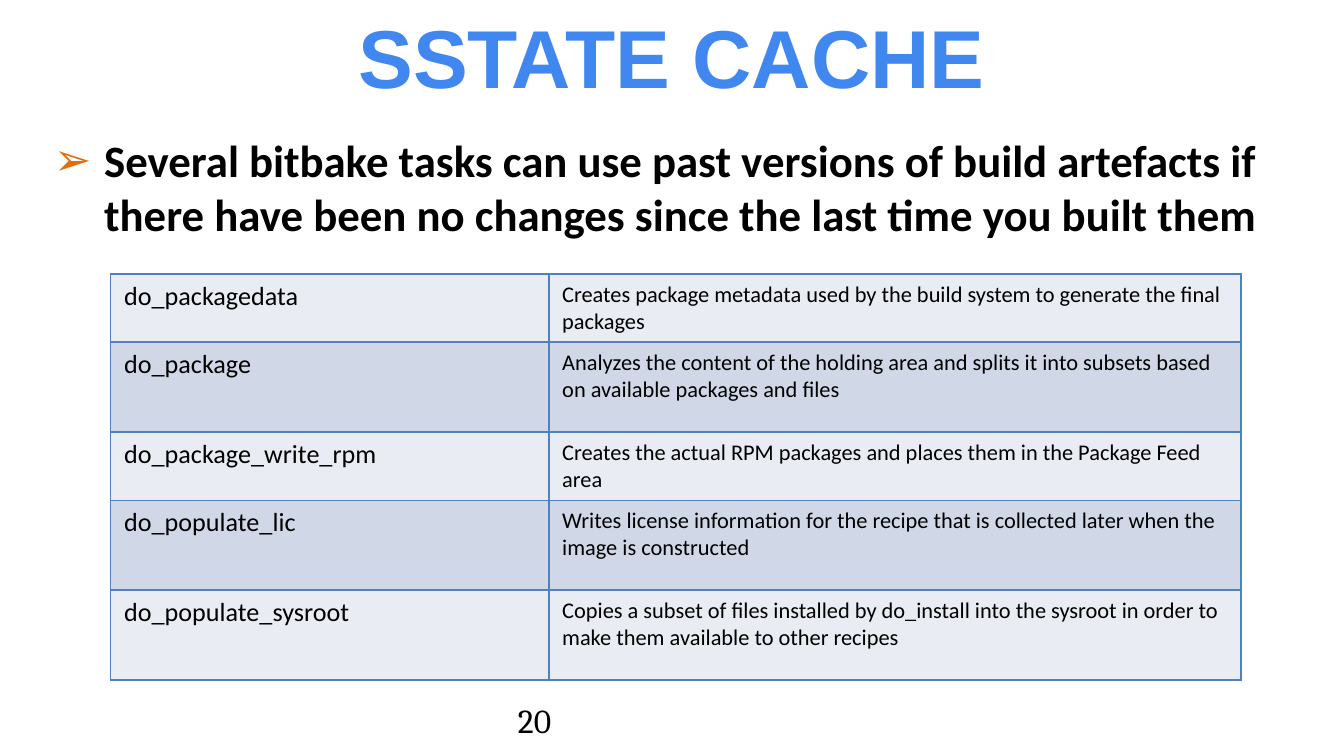
import pptx
import pptx.dml.color
import pptx.enum.text
import pptx.oxml
import pptx.oxml.ns
import pptx.util
from lxml import etree

Pt = pptx.util.Pt
RGBColor = pptx.dml.color.RGBColor
Align = pptx.enum.text.PP_ALIGN
Anchor = pptx.enum.text.MSO_ANCHOR
qn = pptx.oxml.ns.qn

TITLE_BLUE = RGBColor(0x40, 0x88, 0xEF)
BULLET_ORANGE = RGBColor(0xE4, 0x6C, 0x0A)
BORDER_BLUE = RGBColor(0x4F, 0x81, 0xBD)
BLACK = RGBColor(0, 0, 0)
ROW_FILLS = (RGBColor(0xE9, 0xEC, 0xF3), RGBColor(0xD0, 0xD8, 0xE7))

TITLE_FORMAT = {"name": "Arial", "size": Pt(44), "bold": True}
BODY_FORMAT = {"name": "Calibri", "size": Pt(24), "bold": True}
NUMBER_FORMAT = {"name": "Cambria", "size": Pt(18)}
COLUMN_FORMATS = (
    {"name": "Calibri", "size": Pt(14)},
    {"name": "Calibri", "size": Pt(12)},
)

COLUMN_WIDTHS = (234.7, 370.8)
SHORT_ROW, TALL_ROW = 34.6, 48.2
TASKS = (
    ("do_packagedata", SHORT_ROW,
     "Creates package metadata used by the build system to generate the final packages"),
    ("do_package", TALL_ROW,
     "Analyzes the content of the holding area and splits it into subsets "
     "based on available packages and files"),
    ("do_package_write_rpm", SHORT_ROW,
     "Creates the actual RPM packages and places them in the Package Feed area"),
    ("do_populate_lic", TALL_ROW,
     "Writes license information for the recipe that is collected later "
     "when the image is constructed"),
    ("do_populate_sysroot", TALL_ROW,
     "Copies a subset of files installed by do_install into the sysroot "
     "in order to make them available to other recipes"),
)


def place(shape, left, top, width, height):
    bounds = {"left": left, "top": top, "width": width, "height": height}
    for name, value in bounds.items():
        setattr(shape, name, Pt(value))


def write(frame, text, font_format, color=BLACK, align=Align.LEFT):
    para = frame.paragraphs[0]
    para.alignment = align
    para.space_before = Pt(0)
    span = para.add_run()
    span.text = text
    for name, value in font_format.items():
        setattr(span.font, name, value)
    span.font.color.rgb = color


def format_frame(frame, anchor):
    settings = {
        "word_wrap": True,
        "auto_size": pptx.enum.text.MSO_AUTO_SIZE.NONE,
        "vertical_anchor": anchor,
    }
    for name, value in settings.items():
        setattr(frame, name, value)


def add_bullet(para, character, color):
    properties = para._p.get_or_add_pPr()
    properties.set("marL", str(Pt(27)))
    properties.set("indent", str(-Pt(27)))
    bullet_color = etree.SubElement(properties, qn("a:buClr"))
    etree.SubElement(bullet_color, qn("a:srgbClr"), val=str(color))
    etree.SubElement(properties, qn("a:buChar"), char=character)


def add_borders(cell):
    properties = cell._tc.get_or_add_tcPr()
    for side in ("lnL", "lnR", "lnT", "lnB"):
        line = etree.SubElement(properties, qn(f"a:{side}"), w=str(Pt(0.96)))
        fill = etree.SubElement(line, qn("a:solidFill"))
        etree.SubElement(fill, qn("a:srgbClr"), val=str(BORDER_BLUE))


def add_title(slide, text):
    title = slide.shapes.title
    place(title, 36, 5, 648, 49.7)
    format_frame(title.text_frame, Anchor.MIDDLE)
    write(title.text_frame, text, TITLE_FORMAT, TITLE_BLUE, Align.CENTER)


def add_body(slide, text):
    body = slide.placeholders[1]
    place(body, 21.6, 67.7, 677.5, 90)
    format_frame(body.text_frame, Anchor.TOP)
    write(body.text_frame, text, BODY_FORMAT)
    add_bullet(body.text_frame.paragraphs[0], "➢", BULLET_ORANGE)


def add_task_table(slide):
    height = sum(row_height for _, row_height, _ in TASKS)
    frame = slide.shapes.add_table(
        len(TASKS), len(COLUMN_WIDTHS),
        Pt(59.3), Pt(146.9), Pt(sum(COLUMN_WIDTHS)), Pt(height))
    table = frame.table
    table.first_row = False
    for column, width in zip(table.columns, COLUMN_WIDTHS):
        column.width = Pt(width)
    for index, (task, row_height, description) in enumerate(TASKS):
        row = table.rows[index]
        row.height = Pt(row_height)
        for cell, text, font_format in zip(row.cells, (task, description), COLUMN_FORMATS):
            write(cell.text_frame, text, font_format)
            add_borders(cell)
            cell.fill.solid()
            cell.fill.fore_color.rgb = ROW_FILLS[index % 2]


def add_page_number(slide, number):
    box = slide.shapes.add_textbox(Pt(228.2), Pt(375.1), Pt(74.2), Pt(21.6))
    format_frame(box.text_frame, Anchor.BOTTOM)
    box.text_frame.margin_bottom = 0
    write(box.text_frame, number, NUMBER_FORMAT, align=Align.RIGHT)


def main():
    deck = pptx.Presentation()
    deck.slide_width, deck.slide_height = Pt(720), Pt(405)
    slide = deck.slides.add_slide(deck.slide_layouts[1])
    add_title(slide, "SSTATE CACHE")
    add_body(slide, "Several bitbake tasks can use past versions of build artefacts "
                    "if there have been no changes since the last time you built them")
    add_page_number(slide, "20")
    add_task_table(slide)
    deck.save("out.pptx")


if __name__ == "__main__":
    main()
